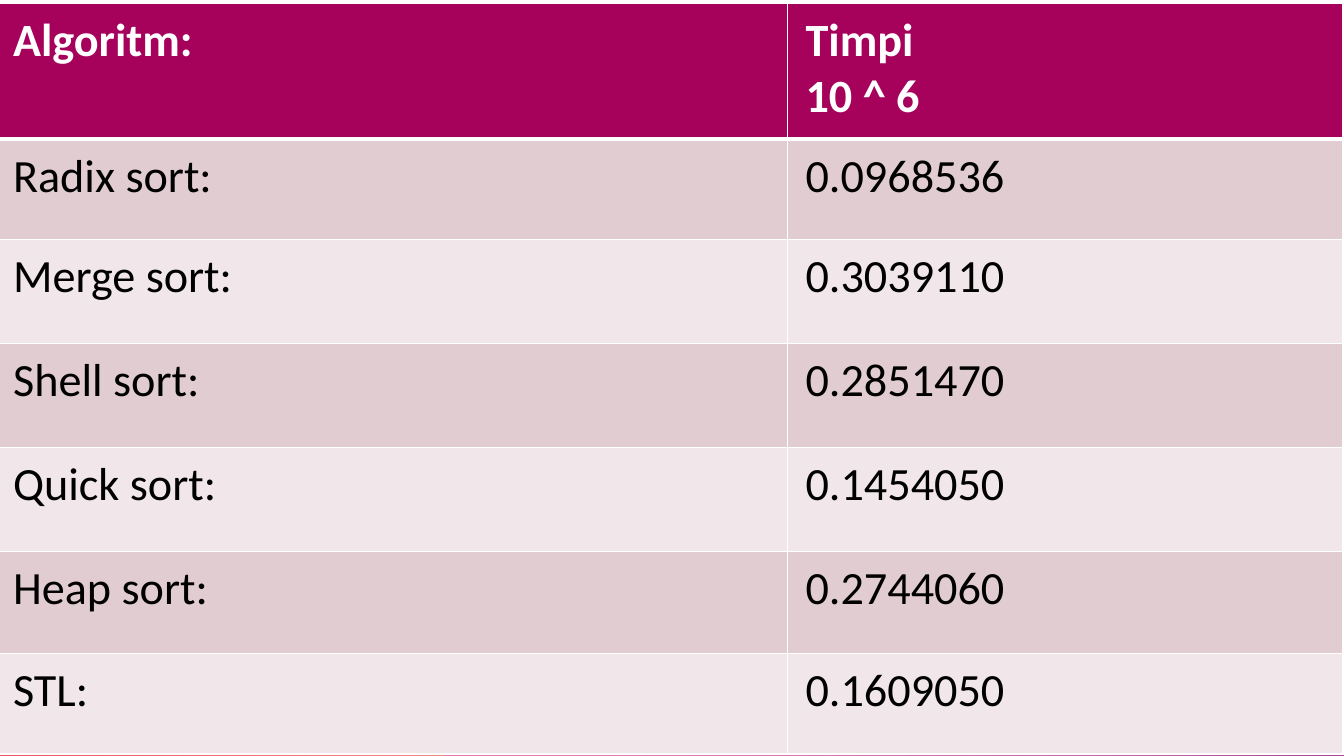
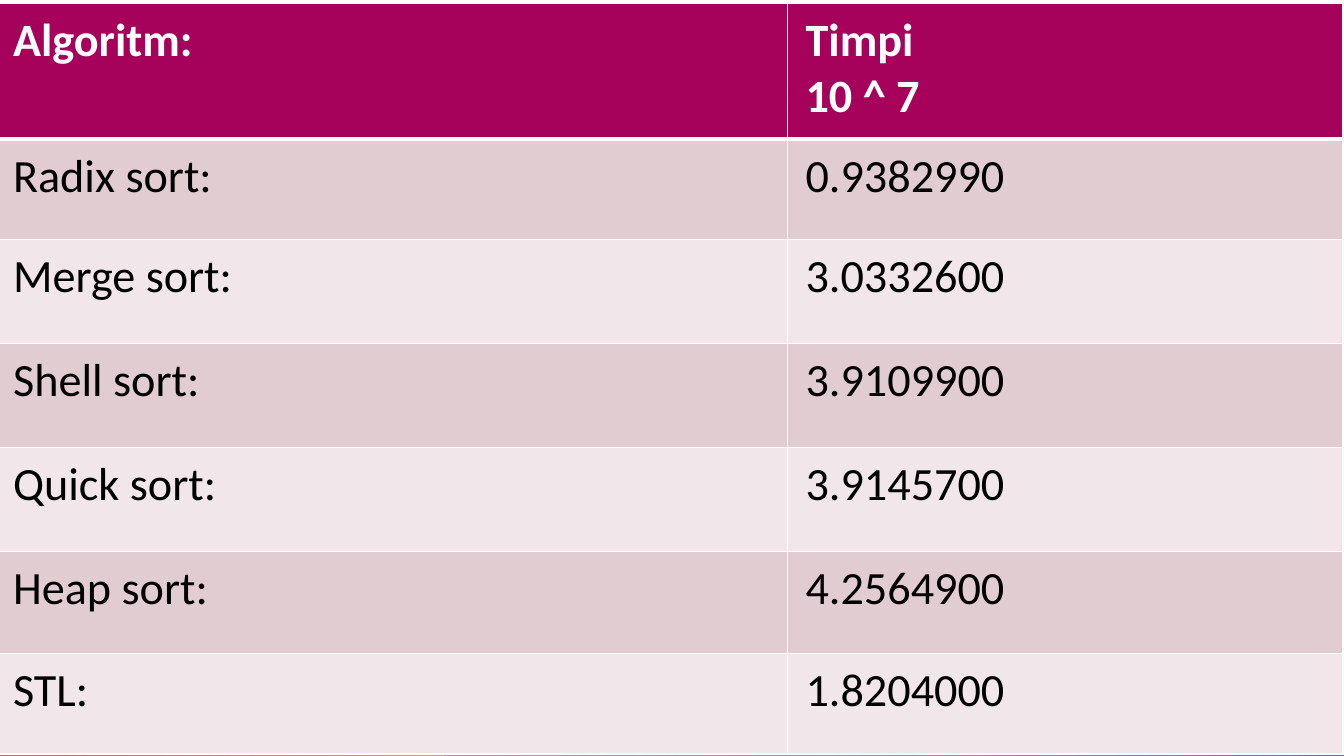
from lxml.etree import SubElement
from pptx import Presentation
from pptx.dml.color import RGBColor
from pptx.enum.shapes import MSO_SHAPE
from pptx.oxml.ns import qn
from pptx.util import Inches, Pt

ALGORITHMS = ["Radix sort:", "Merge sort:", "Shell sort:", "Quick sort:", "Heap sort:", "STL:"]
TIMINGS = [
    ("10 ^ 6", ["0.0968536", "0.3039110", "0.2851470", "0.1454050", "0.2744060", "0.1609050"]),
    ("10 ^ 7", ["0.9382990", "3.0332600", "3.9109900", "3.9145700", "4.2564900", "1.8204000"]),
]

WHITE = RGBColor(0xFF, 0xFF, 0xFF)
BLACK = RGBColor(0x00, 0x00, 0x00)
HEADER_FILL = RGBColor(0xA6, 0x02, 0x5C)
ROW_FILLS = [RGBColor(0xE1, 0xCC, 0xD2), RGBColor(0xF1, 0xE7, 0xEA)]
ORANGE = RGBColor(0xFE, 0x4A, 0x00)
RED = RGBColor(0xDA, 0x00, 0x2F)
PINK = RGBColor(0xD8, 0x61, 0xD4)
PURPLE = RGBColor(0x92, 0x24, 0x8E)

SLIDE_WIDTH, SLIDE_HEIGHT = 13.33, 7.5
BAND_HEIGHT = SLIDE_HEIGHT / 15
TABLE_LEFT, TABLE_TOP = -0.05, 0.03
COLUMN_WIDTHS = [7.86, 5.51]
ROW_HEIGHTS = [1.35, 1, 1.03, 1.03, 1.03, 1.01, 1]

# Each band: left, width, rotation, clockwise gradient angle, (position, colour, opacity) stops
BANDS = [
    (0, SLIDE_WIDTH, 180, 100, [(0.14, ORANGE, 0.28), (1, RED, 0.85)]),
    (SLIDE_WIDTH - 8.92, 8.92, 0, 240, [(0.09, PINK, 0.55), (0.99, PURPLE, 1)]),
]


def add_bands(slide, layout):
    """Draw the footer bands and move them to the layout, so every slide shares them."""
    for left, width, rotation, angle, stops in BANDS:
        band = slide.shapes.add_shape(
            MSO_SHAPE.RECTANGLE, Inches(left), Inches(SLIDE_HEIGHT - BAND_HEIGHT),
            Inches(width), Inches(BAND_HEIGHT))
        band.shadow.inherit = False
        band.line.fill.background()
        band.rotation = rotation
        band.element.spPr.find(qn("a:xfrm")).set("flipH", "1")
        band.fill.gradient()
        band.fill.gradient_angle = 360 - angle
        for stop, (position, colour, _) in zip(band.fill.gradient_stops, stops):
            stop.position = position
            stop.color.rgb = colour
        for colour_element, (_, _, opacity) in zip(band.element.spPr.iter(qn("a:srgbClr")), stops):
            SubElement(colour_element, qn("a:alpha"), val=str(round(opacity * 100000)))
        layout.shapes.element.append(band.element)


def set_borders(cell, top, bottom):
    properties = cell._tc.get_or_add_tcPr()
    for side, width in (("L", 1), ("R", 1), ("T", top), ("B", bottom)):
        line = SubElement(properties, qn(f"a:ln{side}"), w=str(Pt(width)))
        fill = SubElement(line, qn("a:solidFill"))
        SubElement(fill, qn("a:srgbClr"), val=str(WHITE))


def fill_cell(cell, lines, row):
    is_header = row == 0
    set_borders(cell, top=3 if row == 1 else 1, bottom=3 if is_header else 1)
    cell.fill.solid()
    cell.fill.fore_color.rgb = HEADER_FILL if is_header else ROW_FILLS[(row - 1) % 2]
    cell.margin_left = cell.margin_right = Inches(0.18)
    cell.margin_top = cell.margin_bottom = Inches(0.09)
    frame = cell.text_frame
    for index, text in enumerate(lines):
        paragraph = frame.paragraphs[0] if index == 0 else frame.add_paragraph()
        run = paragraph.add_run()
        run.text = text
        run.font.name = "Calibri"
        run.font.size = Pt(33)
        run.font.bold = is_header
        run.font.color.rgb = WHITE if is_header else BLACK


def add_timing_table(slide, input_size, times):
    rows = [(["Algoritm:"], ["Timpi", input_size])]
    rows += [([name], [time]) for name, time in zip(ALGORITHMS, times)]
    table = slide.shapes.add_table(
        len(rows), len(COLUMN_WIDTHS), Inches(TABLE_LEFT), Inches(TABLE_TOP),
        Inches(sum(COLUMN_WIDTHS)), Inches(sum(ROW_HEIGHTS))).table
    table.horz_banding = False
    for column, width in zip(table.columns, COLUMN_WIDTHS):
        column.width = Inches(width)
    for row, height in zip(table.rows, ROW_HEIGHTS):
        row.height = Inches(height)
    for row_index, row in enumerate(rows):
        for column_index, lines in enumerate(row):
            fill_cell(table.cell(row_index, column_index), lines, row_index)


def main():
    presentation = Presentation()
    presentation.slide_width = Inches(SLIDE_WIDTH)
    presentation.slide_height = Inches(SLIDE_HEIGHT)
    layout = presentation.slide_layouts.get_by_name("Blank")
    slides = [presentation.slides.add_slide(layout) for _ in TIMINGS]
    add_bands(slides[0], layout)
    for slide, (input_size, times) in zip(slides, TIMINGS):
        add_timing_table(slide, input_size, times)
    presentation.save("out.pptx")


if __name__ == "__main__":
    main()
